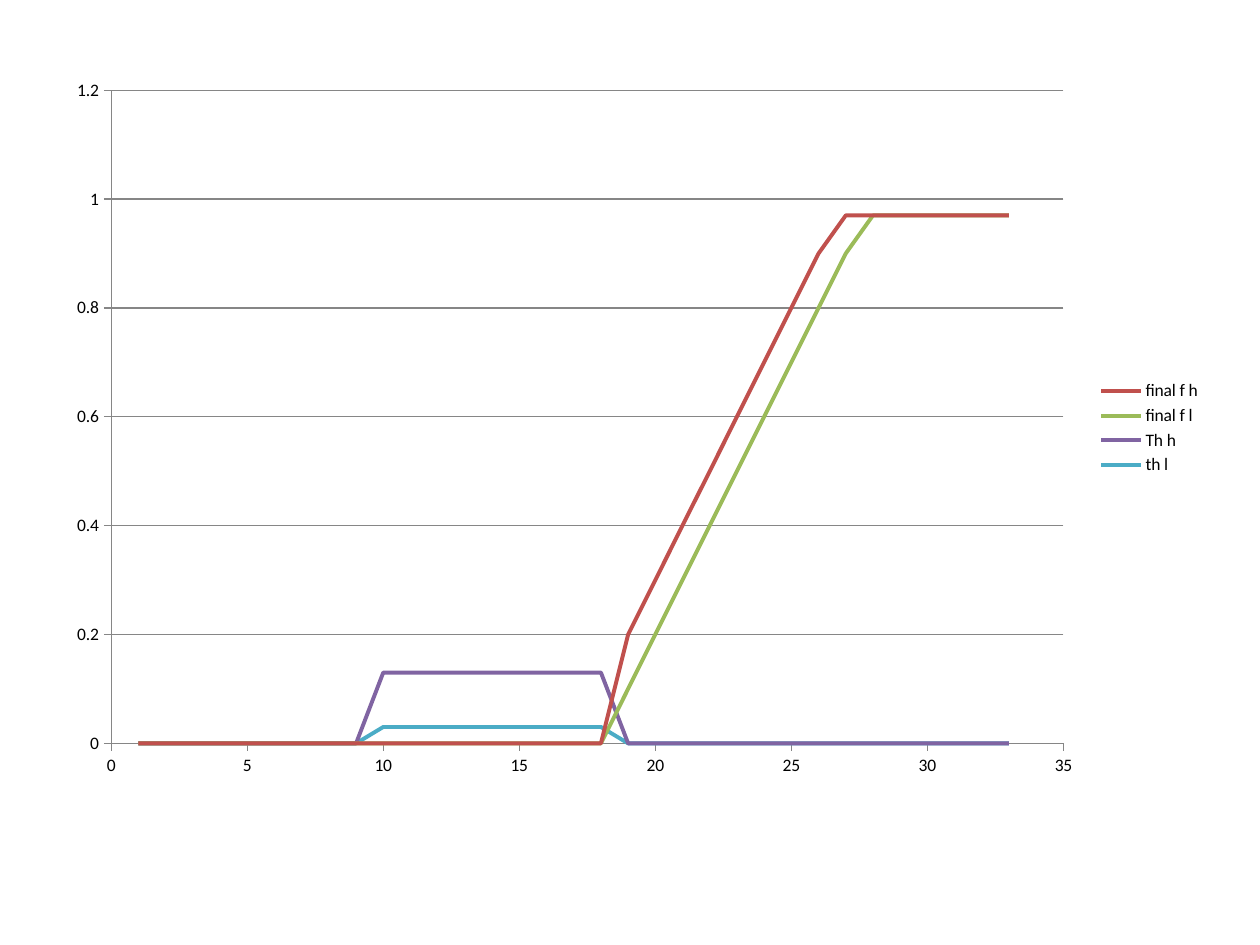
from pptx import Presentation
from pptx.chart.data import XyChartData
from pptx.dml.color import RGBColor
from pptx.enum.chart import XL_CHART_TYPE, XL_LEGEND_POSITION, XL_TICK_MARK
from pptx.util import Emu, Pt

PX = 914400 // 126
SMOOTH = XL_CHART_TYPE.XY_SCATTER_SMOOTH_NO_MARKERS
RIGHT = XL_LEGEND_POSITION.RIGHT
OUTSIDE, NO_TICK = XL_TICK_MARK.OUTSIDE, XL_TICK_MARK.NONE
FONT, BLACK, GRAY = "Calibri", "000000", "868686"


def px(n):
    """Convert picture pixels to EMU."""
    return Emu(n * PX)


def color(hex_string):
    """Return the colour for a hex string."""
    return RGBColor.from_string(hex_string)


def style_line(line, hex_string, width):
    """Set the colour and point width of a line."""
    line.color.rgb = color(hex_string)
    line.width = Pt(width)


def ramp(start):
    """Return 18 zeros, a rise by 0.1 from start, and a plateau at 0.97."""
    rise = [min(round(start + 0.1 * i, 2), 0.97) for i in range(15)]
    return [0] * 18 + rise


def pulse(height):
    """Return a flat pulse at points 10 to 18."""
    return [0] * 9 + [height] * 9 + [0] * 15


def style_axis(axis, maximum, unit, gridlines):
    """Set the scale, ticks and lines of an axis."""
    axis.minimum_scale, axis.maximum_scale = 0, maximum
    axis.major_unit = unit
    axis.major_tick_mark, axis.minor_tick_mark = OUTSIDE, NO_TICK
    axis.has_major_gridlines = gridlines
    axis.tick_labels.number_format = "General"
    axis.tick_labels.number_format_is_linked = False
    style_line(axis.format.line, GRAY, 0.75)
    if gridlines:
        style_line(axis.major_gridlines.format.line, GRAY, 0.75)


def add_curve_chart(s, box, curves):
    """Add a smooth scatter chart of named, coloured curves."""
    data = XyChartData()
    for name, values, _ in curves:
        series = data.add_series(name)
        for x, y in enumerate(values, 1):
            series.add_data_point(x, y)
    chart = s.shapes.add_chart(SMOOTH, *map(px, box), data).chart
    chart.has_title = False
    chart.font.name, chart.font.size = FONT, Pt(10)
    chart.font.color.rgb = color(BLACK)
    chart.has_legend = True
    chart.legend.position = RIGHT
    chart.legend.include_in_layout = False
    style_axis(chart.category_axis, 35, 5, False)
    style_axis(chart.value_axis, 1.2, 0.2, True)
    plot = chart.plots[0]
    plot.vary_by_categories = False
    for series, (_, _, hex_string) in zip(plot.series, curves):
        series.smooth = True
        style_line(series.format.line, hex_string, 2.25)


def main():
    """Build the slide and save it."""
    prs = Presentation()
    prs.slide_width, prs.slide_height = px(1260), px(945)
    s = prs.slides.add_slide(prs.slide_layouts[6])
    curves = [
        ("final f h", ramp(0.2), "C0504D"),
        ("final f l", ramp(0.1), "9BBB59"),
        ("Th h", pulse(0.13), "8064A2"),
        ("th l", pulse(0.03), "4BACC6"),
    ]
    add_curve_chart(s, (54, 66, 1160, 724), curves)
    prs.save("out.pptx")


main()
